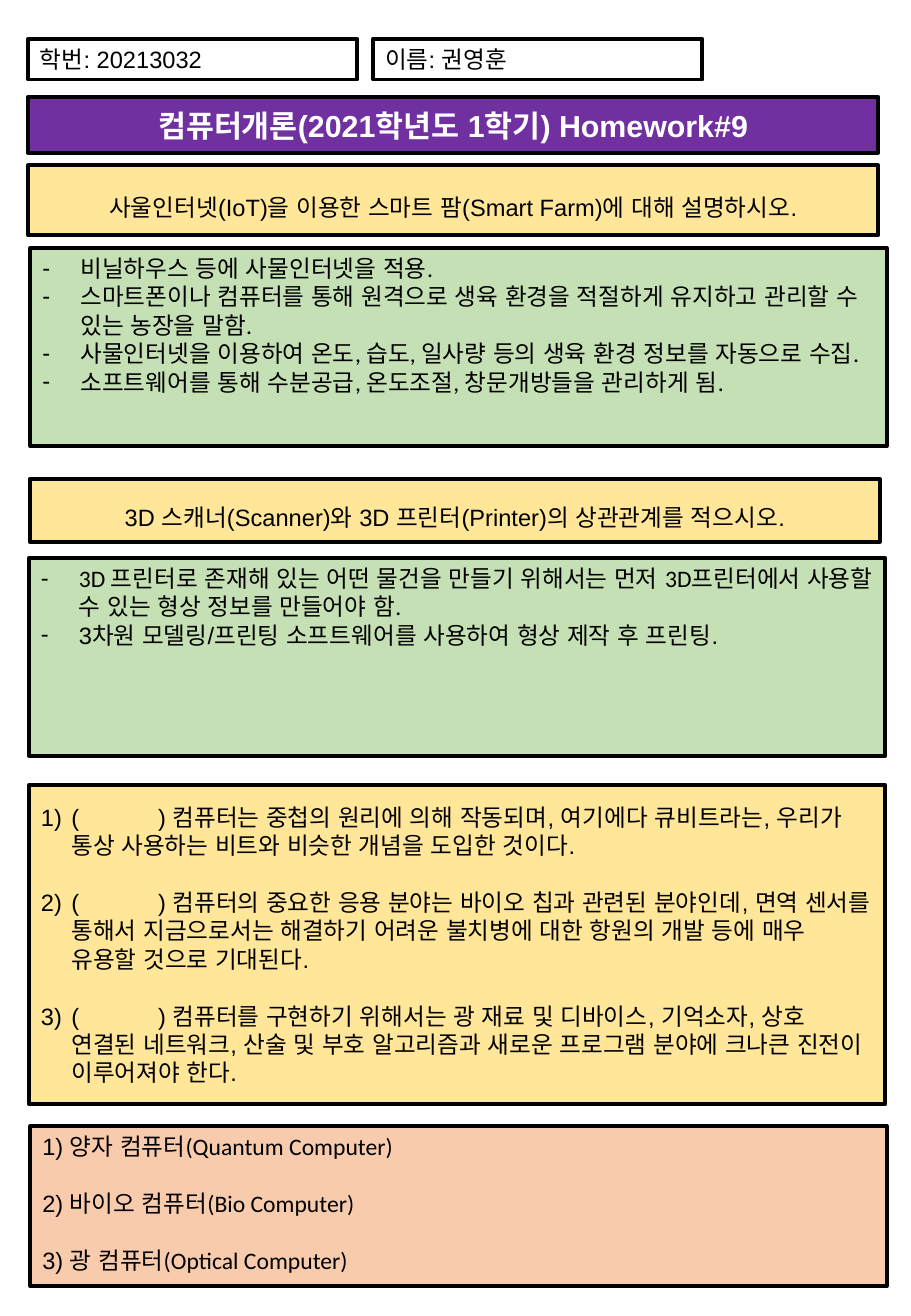
from lxml import etree
from pptx import Presentation
from pptx.dml.color import RGBColor
from pptx.enum import lang, shapes, text
from pptx.oxml import ns
from pptx.util import Pt

BLACK = RGBColor(0x00, 0x00, 0x00)
WHITE = RGBColor(0xFF, 0xFF, 0xFF)
PURPLE = RGBColor(0x70, 0x30, 0xA0)
YELLOW = RGBColor(0xFF, 0xE6, 0x99)
GREEN = RGBColor(0xC5, 0xE0, 0xB4)
PEACH = RGBColor(0xF8, 0xCB, 0xAD)

# Content: each paragraph is a list of (words, font) spans
STUDENT = [[("학번: 20213032", "Arial")]]
NAME = [[("이름: 권영훈", "Arial")]]
TITLE = [[("컴퓨터개론(2021학년도 1학기) Homework#9", "Arial")]]
FARM_QUESTION = [[("사울인터넷(IoT)을 이용한 스마트 팜(Smart Farm)에 대해 설명하시오.", "Arial")]]
FARM_ANSWER = [[(words, "Calibri")] for words in (
    "비닐하우스 등에 사물인터넷을 적용.",
    "스마트폰이나 컴퓨터를 통해 원격으로 생육 환경을 적절하게 유지하고 관리할 수 있는 농장을 말함.",
    "사물인터넷을 이용하여 온도, 습도, 일사량 등의 생육 환경 정보를 자동으로 수집.",
    "소프트웨어를 통해 수분공급, 온도조절, 창문개방들을 관리하게 됨.",
)]
PRINT_QUESTION = [[("3D 스캐너(Scanner)와 3D 프린터(Printer)의 상관관계를 적으시오.", "Arial")]]
PRINT_ANSWER = [
    [("3D 프린터로 존재해 있는 어떤 물건을 만들기 위해서는 먼저 3D프린터에서 "
      "사용할 수 있는 형상 정보를 만들어야 함.", "Calibri")],
    [("3차원 모델링/프린팅 소프트웨어를 사용하여 형상 제작 후 프린팅.", "Arial")],
]
BLANK = " "  # answer space, widened by character spacing
BLANK_QUESTIONS = [[("(", "Arial"), (BLANK, "Arial"), (") " + words, "Arial")] for words in (
    "컴퓨터는 중첩의 원리에 의해 작동되며, 여기에다 큐비트라는, 우리가 "
    "통상 사용하는 비트와 비슷한 개념을 도입한 것이다.",
    "컴퓨터의 중요한 응용 분야는 바이오 칩과 관련된 분야인데, 면역 센서를 통해서 "
    "지금으로서는 해결하기 어려운 불치병에 대한 항원의 개발 등에 매우 유용할 것으로 기대된다.",
    "컴퓨터를 구현하기 위해서는 광 재료 및 디바이스, 기억소자, 상호 연결된 네트워크, "
    "산술 및 부호 알고리즘과 새로운 프로그램 분야에 크나큰 진전이 이루어져야 한다.",
)]
BLANK_ANSWERS = [[(f"{number}) ", "Arial"), (words, "Calibri")] for number, words in enumerate((
    "양자 컴퓨터(Quantum Computer)",
    "바이오 컴퓨터(Bio Computer)",
    "광 컴퓨터(Optical Computer)",
), 1)]

# Layout in points
LEFT, INNER, WIDE, WIDER, FIELD = 16.6, 17.6, 504, 507.6, 195.1
LINE_GAP = 16.9
BLANK_SPACING = 4280  # hundredths of a point

HEADING = {"middle": True, "centred": True}
QUESTION = {**HEADING, "line_spacing": 1.5}
DASHES = {"bullet": ("buChar", "char", "-"), "indent": 22.5}
NUMBERS = {"bullet": ("buAutoNum", "type", "arabicParenR"), "indent": 18,
           "middle": True, "gap": LINE_GAP}

# (left, top, width, height, fill, paragraphs, style)
BOXES = [
    (LEFT, 23, FIELD, 24.2, None, STUDENT, {"grow": True}),
    (221.2, 23, FIELD, 24.2, None, NAME, {"grow": True}),
    (LEFT, 57.4, WIDE, 33.2, PURPLE, TITLE, {**HEADING, "size": 18, "color": WHITE, "bold": True}),
    (LEFT, 98, WIDE, 41.4, YELLOW, FARM_QUESTION, QUESTION),
    (INNER + 0.4, 147, WIDER, 117.4, GREEN, FARM_ANSWER, DASHES),
    (INNER, 283.8, WIDE, 37.4, YELLOW, PRINT_QUESTION, QUESTION),
    (LEFT + 0.6, 330.6, WIDER, 117.4, GREEN, PRINT_ANSWER, DASHES),
    (LEFT + 0.6, 465.2, WIDER, 189.4, YELLOW, BLANK_QUESTIONS, NUMBERS),
    (INNER + 0.4, 667.4, WIDER, 95, PEACH, BLANK_ANSWERS, {"gap": LINE_GAP}),
]


def add_bullet(para, bullet, indent):
    tag, attribute, value = bullet
    props = para._p.get_or_add_pPr()
    props.set("marL", str(Pt(indent)))
    props.set("indent", str(-Pt(indent)))
    etree.SubElement(props, ns.qn("a:buFont")).set("typeface", "Arial")
    etree.SubElement(props, ns.qn("a:" + tag)).set(attribute, value)


def write_para(para, spans, style, first):
    if "bullet" in style:
        add_bullet(para, style["bullet"], style["indent"])
    para.alignment = text.PP_ALIGN.CENTER if style.get("centred") else text.PP_ALIGN.LEFT
    if "line_spacing" in style:
        para.line_spacing = style["line_spacing"]
    if "gap" in style and not first:
        para.space_before = Pt(style["gap"])
    for words, typeface in spans:
        span = para.add_run()
        span.text = words
        font = span.font
        font.name = typeface
        font.size = Pt(style.get("size", 14))
        font.bold = style.get("bold", False)
        font.color.rgb = style.get("color", BLACK)
        font.language_id = lang.MSO_LANGUAGE_ID.KOREAN
        if words == BLANK:
            span._r.get_or_add_rPr().set("spc", str(BLANK_SPACING))


def add_box(page, left, top, width, height, fill, paragraphs, style):
    box = page.shapes.add_shape(shapes.MSO_SHAPE.RECTANGLE,
                                Pt(left), Pt(top), Pt(width), Pt(height))
    box.shadow.inherit = False
    if fill is None:
        box.fill.background()
    else:
        box.fill.solid()
        box.fill.fore_color.rgb = fill
    box.line.color.rgb = BLACK
    box.line.width = Pt(2.25)
    frame = box.text_frame
    frame.word_wrap = True
    frame.vertical_anchor = (text.MSO_ANCHOR.MIDDLE if style.get("middle")
                             else text.MSO_ANCHOR.TOP)
    if style.get("grow"):
        frame.auto_size = text.MSO_AUTO_SIZE.SHAPE_TO_FIT_TEXT
    for index, spans in enumerate(paragraphs):
        para = frame.add_paragraph() if index else frame.paragraphs[0]
        write_para(para, spans, style, first=index == 0)


def main():
    deck = Presentation()
    deck.slide_width, deck.slide_height = Pt(540), Pt(780)
    page = deck.slides.add_slide(deck.slide_layouts[6])
    for box in BOXES:
        add_box(page, *box)
    deck.save("out.pptx")


if __name__ == "__main__":
    main()
